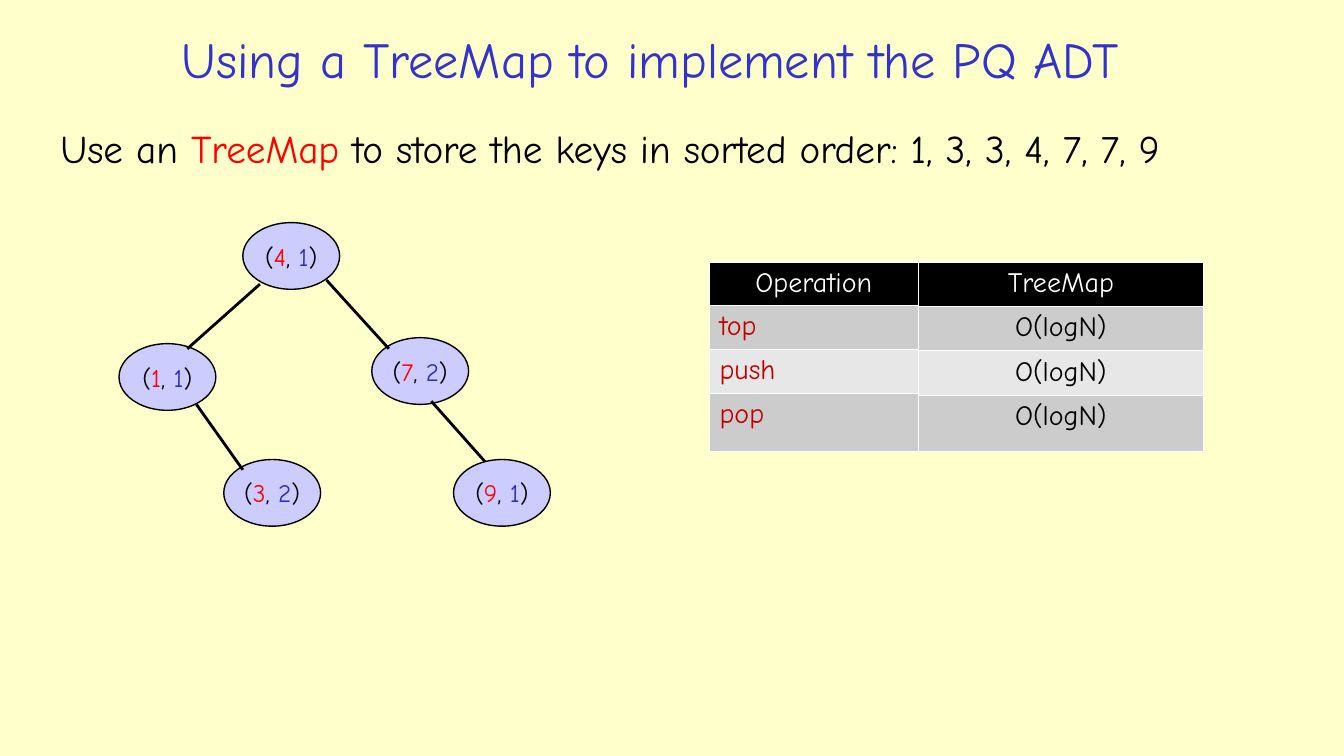
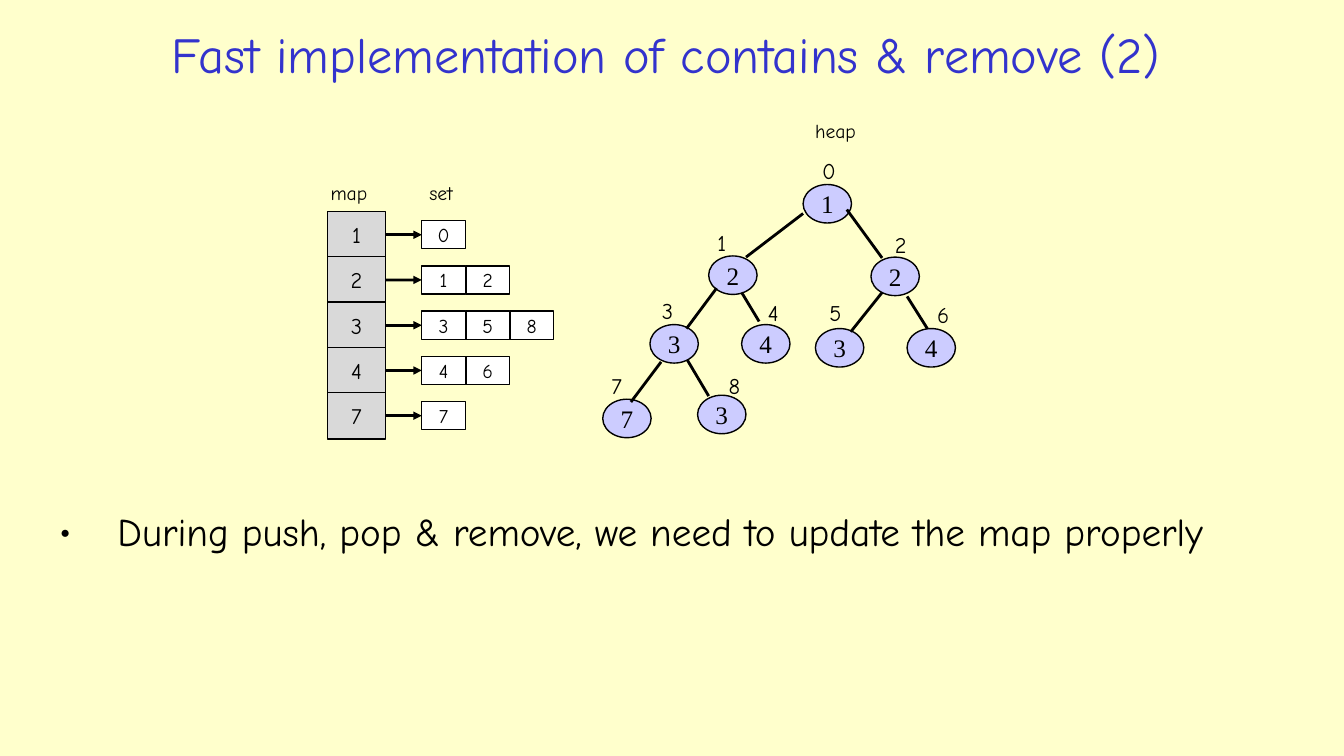
import pptx
import pptx.util
from lxml import etree
from pptx.dml.color import RGBColor
from pptx.enum.shapes import MSO_CONNECTOR, MSO_SHAPE
from pptx.enum.text import MSO_ANCHOR, MSO_AUTO_SIZE, PP_ALIGN
from pptx.oxml.ns import qn
from pptx.util import Cm, Pt

CREAM = RGBColor(0xFF, 0xFF, 0xCC)
TITLE_BLUE = RGBColor(0x33, 0x33, 0xCC)
COUNT_BLUE = RGBColor(0x2D, 0x2D, 0xB9)
LAVENDER = RGBColor(0xCC, 0xCC, 0xFF)
BLACK = RGBColor(0x00, 0x00, 0x00)
WHITE = RGBColor(0xFF, 0xFF, 0xFF)
RED = RGBColor(0xFF, 0x00, 0x00)
DARK_RED = RGBColor(0xC0, 0x00, 0x00)
KEY_GRAY = RGBColor(0xD9, 0xD9, 0xD9)
BAND_GRAYS = (RGBColor(0xCC, 0xCC, 0xCC), RGBColor(0xE7, 0xE7, 0xE7))

FONT = "Comic Neue"
NODE_FONT = "Times New Roman"

# Search tree: key, count, left, top of each node; then x1, y1, x2, y2 of each edge
TREE_MAP_NODES = [
    ("4", "1", 6.12, 5.61),
    ("1", "1", 3.0, 8.66),
    ("3", "2", 5.64, 11.58),
    ("7", "2", 9.37, 8.51),
    ("9", "1", 11.43, 11.58),
]
TREE_MAP_EDGES = [
    (6.55, 7.16, 4.72, 8.79),
    (4.95, 10.19, 6.12, 11.84),
    (8.23, 7.06, 9.8, 8.79),
    (10.87, 10.11, 12.22, 11.63),
]

# Heap, in index order: value, node left and top, index label left and top
HEAP_NODES = [
    ("1", 20.24, 4.65, 20.47, 3.84),
    ("2", 17.86, 6.45, 17.83, 5.64),
    ("2", 21.95, 6.48, 22.3, 5.69),
    ("3", 16.38, 8.18, 16.43, 7.37),
    ("4", 18.69, 8.18, 19.1, 7.42),
    ("3", 20.55, 8.28, 20.65, 7.42),
    ("4", 22.86, 8.28, 23.37, 7.47),
    ("7", 15.19, 10.06, 15.16, 9.25),
    ("3", 17.58, 9.96, 18.11, 9.25),
]
HEAP_EDGES = [
    (20.24, 5.38, 18.8, 6.48),
    (21.34, 5.28, 22.23, 6.5),
    (18.06, 7.26, 17.3, 8.28),
    (18.69, 7.37, 19.13, 8.1),
    (22.23, 7.37, 21.44, 8.36),
    (22.86, 7.47, 23.37, 8.28),
    (16.66, 9.12, 15.9, 10.13),
    (17.32, 9.07, 17.86, 9.98),
]
INDEX_MAP = [("1", "0"), ("2", "12"), ("3", "358"), ("4", "46"), ("7", "7")]
CAPTIONS = [("map", 8.08, 4.44), ("set", 10.57, 4.44), ("heap", 20.29, 2.87)]


def format_runs(paragraph, size, color=BLACK, font=FONT):
    for run in paragraph.runs:
        run.font.name = font
        run.font.size = Pt(size)
        run.font.bold = False
        run.font.color.rgb = color


def write_pieces(paragraph, pieces, size):
    """Write (text, color) pieces as the runs of one paragraph."""
    for text, _ in pieces:
        paragraph.add_run().text = text
    format_runs(paragraph, size)
    for run, (_, color) in zip(paragraph.runs, pieces):
        run.font.color.rgb = color


def add_titled_slide(presentation, title, left, top, width, height):
    slide = presentation.slides.add_slide(presentation.slide_layouts[5])
    shape = slide.shapes.title
    shape.left, shape.top = Cm(left), Cm(top)
    shape.width, shape.height = Cm(width), Cm(height)
    shape.text_frame.text = title
    shape.text_frame.vertical_anchor = MSO_ANCHOR.MIDDLE
    paragraph = shape.text_frame.paragraphs[0]
    paragraph.alignment = PP_ALIGN.CENTER
    format_runs(paragraph, 36, TITLE_BLUE)
    return slide


def add_text_box(slide, left, top, width, height):
    """Add an empty wrapping text box and return its first paragraph."""
    box = slide.shapes.add_textbox(Cm(left), Cm(top), Cm(width), Cm(height))
    box.text_frame.word_wrap = True
    return box.text_frame.paragraphs[0]


def add_label(slide, text, left, top, width, size):
    box = slide.shapes.add_textbox(Cm(left), Cm(top), Cm(width), Cm(0.9))
    box.text_frame.text = text
    box.text_frame.word_wrap = True
    box.text_frame.auto_size = MSO_AUTO_SIZE.SHAPE_TO_FIT_TEXT
    format_runs(box.text_frame.paragraphs[0], size)


def add_outlined_shape(slide, preset, left, top, width, height, fill):
    """Add a black-outlined shape set up for a centred line of text."""
    shape = slide.shapes.add_shape(preset, Cm(left), Cm(top), Cm(width), Cm(height))
    shape.shadow.inherit = False
    shape.fill.solid()
    shape.fill.fore_color.rgb = fill
    shape.line.color.rgb = BLACK
    shape.line.width = Pt(1)
    frame = shape.text_frame
    frame.word_wrap = False
    frame.vertical_anchor = MSO_ANCHOR.MIDDLE
    frame.margin_left = frame.margin_right = frame.margin_top = frame.margin_bottom = 0
    frame.paragraphs[0].alignment = PP_ALIGN.CENTER
    return shape


def add_cell(slide, text, left, top, width, height, fill, size):
    shape = add_outlined_shape(slide, MSO_SHAPE.RECTANGLE, left, top, width, height, fill)
    shape.text_frame.paragraphs[0].text = text
    format_runs(shape.text_frame.paragraphs[0], size)
    return shape


def add_line(slide, x1, y1, x2, y2):
    line = slide.shapes.add_connector(
        MSO_CONNECTOR.STRAIGHT, Cm(x1), Cm(y1), Cm(x2), Cm(y2))
    line.line.color.rgb = BLACK
    line.line.width = Pt(2)
    etree.SubElement(line._element.spPr, qn("a:effectLst"))
    return line


def add_arrow(slide, source, target):
    """Join the right side of source to the left side of target."""
    arrow = add_line(slide, 0, 0, 1, 1)
    arrow.begin_connect(source, 3)
    arrow.end_connect(target, 1)
    etree.SubElement(arrow.line._get_or_add_ln(), qn("a:tailEnd"), type="triangle")


def add_column_table(slide, texts, left, width, row_height, last_height, color, alignment):
    """Add a one-column table: black header over banded rows."""
    heights = [row_height] * (len(texts) - 1) + [last_height]
    table = slide.shapes.add_table(
        len(texts), 1, Cm(left), Cm(6.6), Cm(width), Cm(sum(heights))).table
    for index, (text, height) in enumerate(zip(texts, heights)):
        is_header = index == 0
        table.rows[index].height = Cm(height)
        cell = table.cell(index, 0)
        cell.fill.solid()
        cell.fill.fore_color.rgb = BLACK if is_header else BAND_GRAYS[(index - 1) % 2]
        cell.text_frame.text = text
        paragraph = cell.text_frame.paragraphs[0]
        paragraph.alignment = PP_ALIGN.CENTER if is_header else alignment
        format_runs(paragraph, 20, WHITE if is_header else color)


def build_tree_map_slide(presentation):
    slide = add_titled_slide(
        presentation, "Using a TreeMap to implement the PQ ADT", 1.57, 0.69, 29.62, 1.57)
    paragraph = add_text_box(slide, 1.27, 3.15, 32.06, 1.78)
    paragraph.line_spacing = 0.9
    write_pieces(paragraph, [
        ("Use an ", BLACK),
        ("TreeMap", RED),
        (" to store the keys in sorted order: 1, 3, 3, 4, 7, 7, 9", BLACK),
    ], 28)

    add_column_table(slide, ["Operation", "top", "push", "pop"],
                     17.88, 5.26, 0.97, 1.47, DARK_RED, PP_ALIGN.LEFT)
    add_column_table(slide, ["TreeMap"] + ["O(logN)"] * 3,
                     23.14, 7.19, 1.12, 1.42, BLACK, PP_ALIGN.CENTER)

    for key, count, left, top in TREE_MAP_NODES:
        node = add_outlined_shape(slide, MSO_SHAPE.OVAL, left, top, 2.44, 1.68, LAVENDER)
        write_pieces(node.text_frame.paragraphs[0], [
            ("(", BLACK), (key, RED), (", ", BLACK), (count, COUNT_BLUE), (")", BLACK),
        ], 18)
    for edge in TREE_MAP_EDGES:
        add_line(slide, *edge)


def add_index_map(slide):
    """Draw the key column, each key pointing to its set of heap indices."""
    key_top, key_pitch, key_height = 5.33, 1.14, 1.17
    set_left, set_pitch, set_height = 10.63, 1.11, 0.71
    for row, (key, indices) in enumerate(INDEX_MAP):
        top = key_top + row * key_pitch
        key_cell = add_cell(slide, key, 8.26, top, 1.45, key_height, KEY_GRAY, 16)
        set_top = top + (key_height - set_height) / 2
        set_cells = [
            add_cell(slide, index, set_left + column * set_pitch, set_top,
                     1.1, set_height, WHITE, 14)
            for column, index in enumerate(indices)
        ]
        add_arrow(slide, key_cell, set_cells[0])


def add_heap(slide):
    for index, (value, left, top, label_left, label_top) in enumerate(HEAP_NODES):
        node = add_outlined_shape(slide, MSO_SHAPE.OVAL, left, top, 1.22, 0.97, LAVENDER)
        node.text_frame.paragraphs[0].text = value
        format_runs(node.text_frame.paragraphs[0], 18, font=NODE_FONT)
        add_label(slide, str(index), label_left, label_top, 0.86, 16)
    for edge in HEAP_EDGES:
        add_line(slide, *edge)


def build_heap_slide(presentation):
    slide = add_titled_slide(
        presentation, "Fast implementation of contains & remove (2)", 1.93, 0.38, 29.72, 1.93)
    add_heap(slide)
    add_index_map(slide)
    for text, left, top in CAPTIONS:
        add_label(slide, text, left, top, 1.63, 14)

    paragraph = add_text_box(slide, 1.24, 12.65, 31.85, 1.88)
    properties = paragraph._p.get_or_add_pPr()
    properties.set("marL", str(Cm(1.47)))
    properties.set("indent", str(-Cm(1.47)))
    etree.SubElement(properties, qn("a:buFont"), typeface=FONT)
    etree.SubElement(properties, qn("a:buChar"), char="•")
    paragraph.text = "During push, pop & remove, we need to update the map properly"
    format_runs(paragraph, 28)


def main():
    presentation = pptx.Presentation()
    presentation.slide_width, presentation.slide_height = Cm(33.87), Cm(19.05)
    background = presentation.slide_master.background.fill
    background.solid()
    background.fore_color.rgb = CREAM
    build_tree_map_slide(presentation)
    build_heap_slide(presentation)
    presentation.save("out.pptx")


if __name__ == "__main__":
    main()
